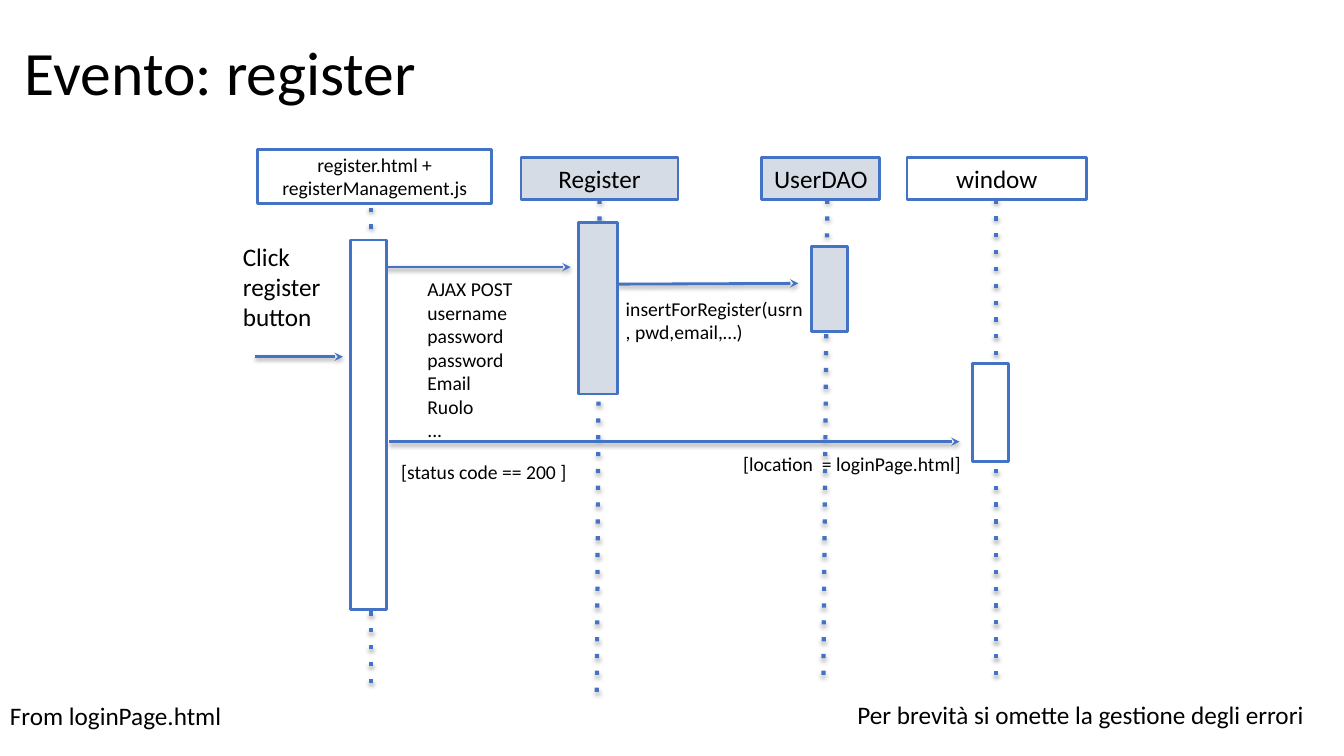
from lxml import etree
from pptx import Presentation
from pptx.dml.color import RGBColor
from pptx.enum.shapes import MSO_CONNECTOR as Connector, MSO_SHAPE as Shape
from pptx.enum.text import MSO_ANCHOR as Anchor, PP_ALIGN as Align
from pptx.oxml import parse_xml
from pptx.oxml.ns import nsdecls, qn
from pptx.util import Cm, Pt

BLUE, GREY, WHITE, BLACK = "4472C4", "D6DCE5", "FFFFFF", "000000"
rgb = RGBColor.from_string


def write(frame, lines, size, align, inset=(0.3, 0.15)):
    """Fill a text frame with one paragraph per line."""
    frame.word_wrap = True
    frame.margin_left = frame.margin_right = Cm(inset[0])
    frame.margin_top = frame.margin_bottom = Cm(inset[1])
    for number, line in enumerate(lines):
        paragraph = frame.add_paragraph() if number else frame.paragraphs[0]
        paragraph.alignment = align
        run = paragraph.add_run()
        run.text = line
        run.font.size = Pt(size)
        run.font.name = "Calibri"
        run.font.color.rgb = rgb(BLACK)


def draw_line(ends, width, tag, **attributes):
    """Draw a shadowed connector; tag is the line's dash or arrowhead element."""
    line = slide.shapes.add_connector(Connector.STRAIGHT, *map(Cm, ends))
    line.line.color.rgb = rgb(BLUE)
    line.line.width = Pt(width)
    etree.SubElement(line.line._get_or_add_ln(), qn(tag), **attributes)
    line._element.spPr.append(parse_xml(
        f'<a:effectLst {nsdecls("a")}><a:outerShdw blurRad="40000" dist="21500" '
        'dir="5400000" rotWithShape="0"><a:srgbClr val="000000">'
        '<a:alpha val="36000"/></a:srgbClr></a:outerShdw></a:effectLst>'))


deck = Presentation()
deck.slide_width, deck.slide_height = Cm(33.87), Cm(19.05)
slide = deck.slides.add_slide(deck.slide_layouts[5])

title = slide.shapes.title
title.left, title.top, title.width, title.height = map(Cm, (0.33, 0.51, 24.77, 2.79))
write(title.text_frame, ["Evento: register"], 44, Align.LEFT)
title.text_frame.vertical_anchor = Anchor.MIDDLE
title.text_frame.paragraphs[0].line_spacing = 0.9

# name, text size, fill, header box, lifeline ends, activation bar
participants = [
    ("register.html + registerManagement.js", 14, WHITE, (6.5, 3.76, 5.89, 1.37),
     (9.35, 5.23, 9.35, 17.5), (8.84, 6.05, 0.91, 9.32)),
    ("Register", 18, GREY, (13.13, 3.96, 3.96, 1.07),
     (15.11, 5.03, 15.04, 17.5), (14.58, 5.61, 0.99, 4.32)),
    ("UserDAO", 18, GREY, (19.2, 3.96, 2.97, 1.07),
     (20.85, 5.03, 20.75, 17.09), (20.45, 6.22, 0.91, 2.13)),
    ("window", 18, WHITE, (22.86, 3.96, 4.52, 1.07),
     (25.1, 5.03, 25.1, 17.09), (24.51, 9.17, 0.91, 2.46)),
]
messages = [
    (6.43, 8.99, 8.64, 8.99),
    (9.09, 6.73, 14.38, 6.73),
    (15.57, 7.16, 20.12, 7.14),
    (9.8, 11.13, 24.18, 11.13),
]

for *_, lifeline, _ in participants:
    draw_line(lifeline, 3, "a:prstDash", val="dot")
for message in messages:
    draw_line(message, 2, "a:tailEnd", type="stealth")

for name, size, fill, header, _, activation in participants:
    for box, lines in ((header, [name]), (activation, [])):
        block = slide.shapes.add_shape(Shape.RECTANGLE, *map(Cm, box))
        block.shadow.inherit = False
        block.fill.solid()
        block.fill.fore_color.rgb = rgb(fill)
        block.line.color.rgb = rgb(BLUE)
        block.line.width = Pt(2)
        block.text_frame.vertical_anchor = Anchor.MIDDLE
        write(block.text_frame, lines, size, Align.CENTER)

NARROW, WIDE = (0.25, 0.13), (0.3, 0.15)
labels = [
    (["Click", "register", "button"], 18, Align.LEFT, NARROW, (5.87, 5.94, 2.92, 2.57)),
    (["From loginPage.html"], 18, Align.LEFT, NARROW, (0, 17.53, 16.92, 1.02)),
    (["AJAX POST username password", "password", "Email", "Ruolo", "..."],
     14, Align.LEFT, WIDE, (10.47, 6.83, 3, 2.92)),
    (["insertForRegister(usrn, pwd,email,…)"], 14, Align.LEFT, NARROW,
     (15.52, 7.34, 5.08, 2.24)),
    (["[status code == 200 ]"], 14, Align.CENTER, WIDE, (9.35, 11.43, 5.69, 0.94)),
    (["[location  = loginPage.html]"], 14, Align.CENTER, WIDE, (18.16, 11.23, 6.63, 0.84)),
    (["Per brevità si omette la gestione degli errori"], 18, Align.LEFT, NARROW,
     (21.36, 17.5, 12.52, 1.02)),
]
for lines, size, align, inset, box in labels:
    label = slide.shapes.add_textbox(*map(Cm, box))
    write(label.text_frame, lines, size, align, inset)

deck.save("out.pptx")
